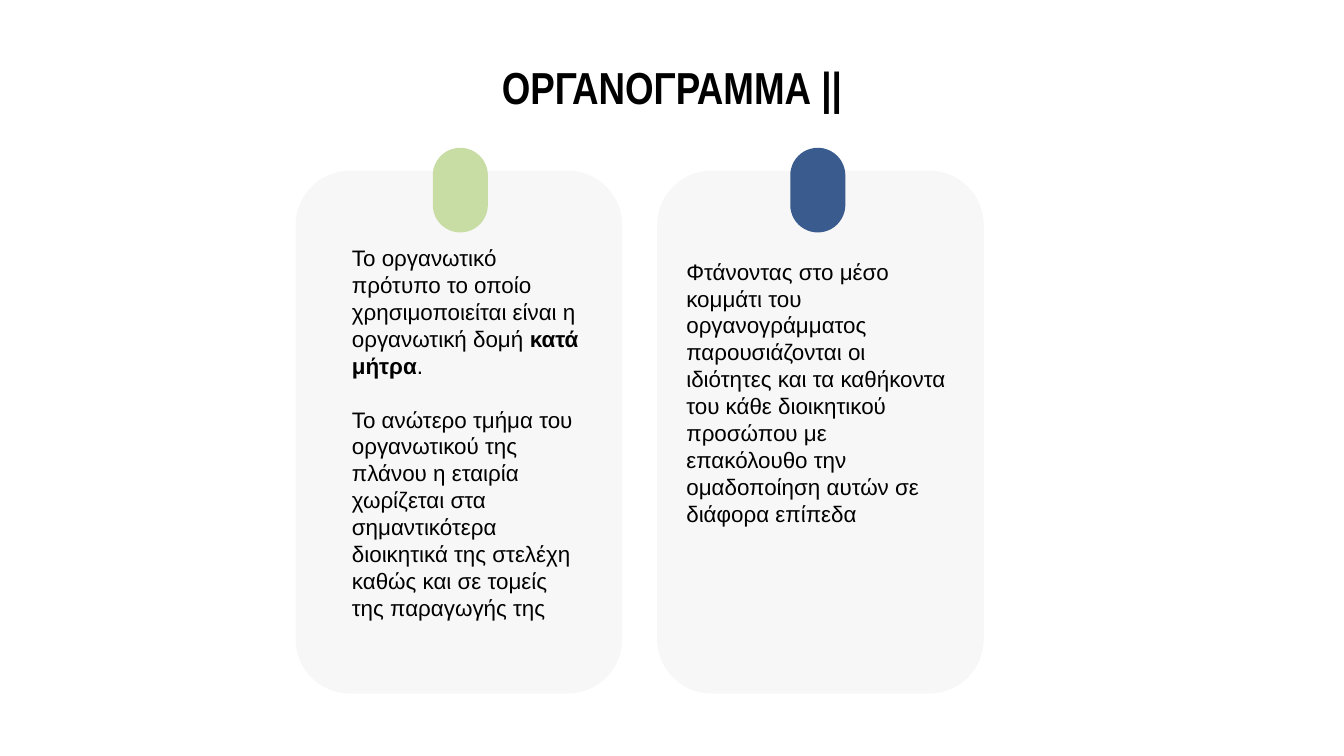
import pptx
import pptx.util
import pptx.dml.color
import pptx.enum.shapes
import pptx.enum.text

Inches, Pt = pptx.util.Inches, pptx.util.Pt
RGBColor = pptx.dml.color.RGBColor
PP_ALIGN = pptx.enum.text.PP_ALIGN
MSO_ANCHOR = pptx.enum.text.MSO_ANCHOR

BLACK = RGBColor(0x00, 0x00, 0x00)
CARD_GRAY = RGBColor(0xF7, 0xF7, 0xF7)
GREEN = RGBColor(0xC8, 0xDD, 0xA4)
BLUE = RGBColor(0x39, 0x5B, 0x8E)

LINE_HEIGHT = Pt(14.4)

STRUCTURE = [
    [("Το οργανωτικό πρότυπο το οποίο χρησιμοποιείται είναι η οργανωτική δομή ", False),
     ("κατά μήτρα", True), (".", False)],
    [("To ανώτερο τμήμα του οργανωτικού της πλάνου η εταιρία χωρίζεται στα "
      "σημαντικότερα διοικητικά της στελέχη καθώς και σε τομείς της παραγωγής της", False)],
]
ROLES = [
    [("Φτάνοντας στο μέσο κομμάτι του οργανογράμματος παρουσιάζονται οι ιδιότητες "
      "και τα καθήκοντα του κάθε διοικητικού προσώπου με επακόλουθο την ομαδοποίηση "
      "αυτών σε διάφορα επίπεδα", False)],
]


def add_rounded(slide, x, y, w, h, adjustment, color):
    s = slide.shapes.add_shape(pptx.enum.shapes.MSO_SHAPE.ROUNDED_RECTANGLE,
                               Inches(x), Inches(y), Inches(w), Inches(h))
    s.adjustments[0] = adjustment
    s.shadow.inherit = False
    s.fill.solid()
    s.fill.fore_color.rgb = color
    s.line.fill.background()
    return s


def add_card(slide, x, pill_x, pill_color):
    """Add a gray card with a coloured pill over its top edge; return the card."""
    card = add_rounded(slide, x, 1.27, 2.43, 3.89, 0.167, CARD_GRAY)
    add_rounded(slide, pill_x, 1.1, 0.41, 0.63, 0.5, pill_color)
    return card


def write_body(tf, paragraphs):
    """Fill a text frame with paragraphs of (text, bold) runs."""
    tf.word_wrap = True
    tf.vertical_anchor = MSO_ANCHOR.TOP
    for i, runs in enumerate(paragraphs):
        p = tf.add_paragraph() if i else tf.paragraphs[0]
        p.alignment = PP_ALIGN.LEFT
        p.line_spacing = LINE_HEIGHT
        if i:
            p.space_before = LINE_HEIGHT
        p.font.name = "Arial"
        p.font.size = Pt(12)
        for text, bold in runs:
            r = p.add_run()
            r.text = text
            r.font.bold = bold
            r.font.color.rgb = BLACK


def add_title(slide, text):
    s = slide.shapes.add_textbox(Inches(0.2), Inches(0.33), Inches(9.6), Inches(0.63))
    tf = s.text_frame
    tf.word_wrap = True
    tf.vertical_anchor = MSO_ANCHOR.MIDDLE
    p = tf.paragraphs[0]
    p.text = text
    p.alignment = PP_ALIGN.CENTER
    p.font.name = "Arial Narrow"
    p.font.size = Pt(24)
    p.font.bold = True
    p.font.color.rgb = BLACK


def main():
    prs = pptx.Presentation()
    prs.slide_width = Inches(10)
    prs.slide_height = prs.slide_width * 9 // 16
    slide = prs.slides.add_slide(prs.slide_layouts[6])

    add_title(slide, "ΟΡΓΑΝΟΓΡΑΜΜΑ ||")
    add_card(slide, 2.2, 3.22, GREEN)
    roles_card = add_card(slide, 4.89, 5.88, BLUE)
    roles_card.text_frame.margin_top = Inches(0.53)
    write_body(roles_card.text_frame, ROLES)

    box = slide.shapes.add_textbox(Inches(2.52), Inches(1.77), Inches(1.89), Inches(3.2))
    write_body(box.text_frame, STRUCTURE)

    prs.save("out.pptx")


if __name__ == "__main__":
    main()
